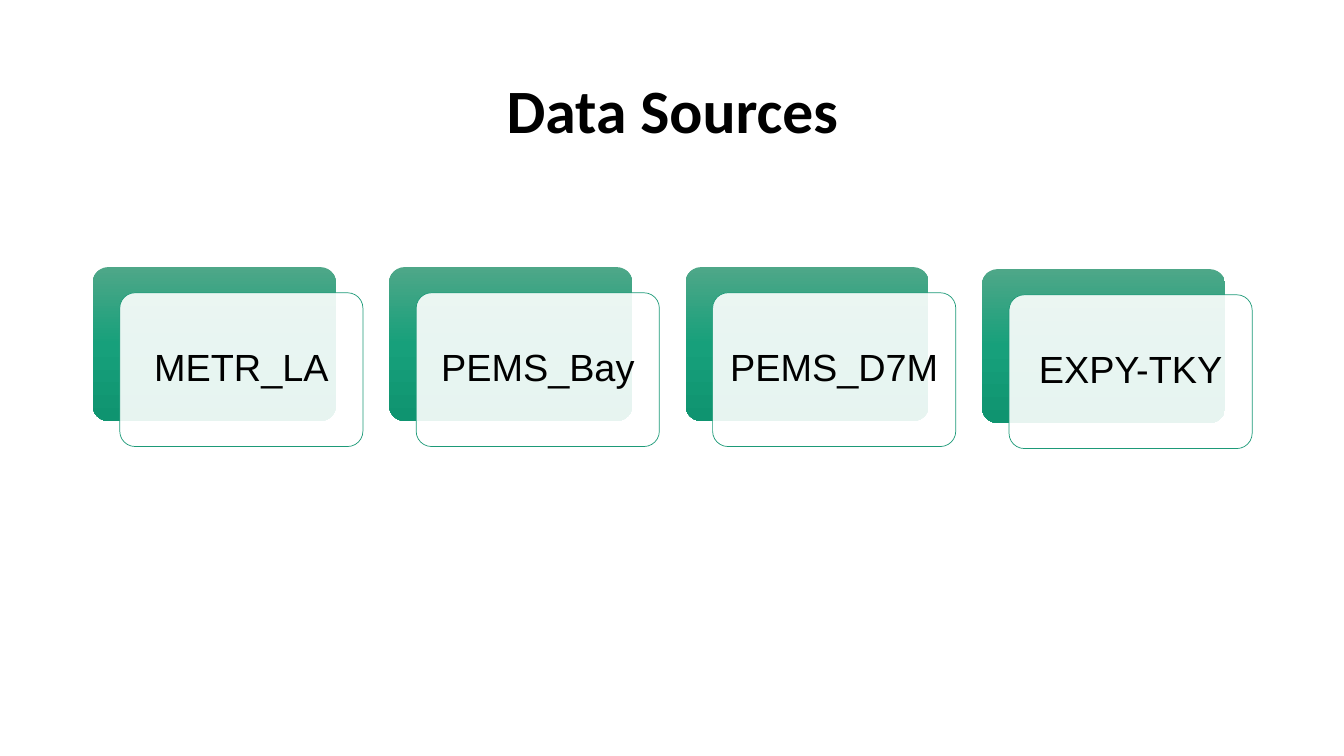
from copy import deepcopy

from lxml.etree import SubElement
from pptx import Presentation
from pptx.dml.color import RGBColor
from pptx.enum.shapes import MSO_SHAPE
from pptx.enum.text import MSO_ANCHOR, PP_ALIGN
from pptx.oxml.ns import qn
from pptx.util import Inches, Pt

HUES = {"top": "4EA788", "mid": "17A07B", "low": "0F9470",
        "edge": "1D9A78", "card": "FFFFFF", "ink": "000000"}
NAMES = ["METR_LA", "PEMS_Bay", "PEMS_D7M", "EXPY-TKY"]
DROPS = [0, 0, 0, 0.02]


def hue(name):
    """Return the named colour."""
    return RGBColor.from_string(HUES[name])


def write(frame, text, font, size, bold=False):
    """Put one centred line of text in the middle of a frame."""
    frame.word_wrap = True
    frame.vertical_anchor = MSO_ANCHOR.MIDDLE
    para = frame.paragraphs[0]
    para.alignment = PP_ALIGN.CENTER
    para.line_spacing = 0.9
    run = para.add_run()
    run.text = text
    run.font.name = font
    run.font.size = Pt(size)
    run.font.bold = bold
    run.font.color.rgb = hue("ink")


def plate(group, left, top, wide, high):
    """Add a rounded box without shadow."""
    shape = group.shapes.add_shape(
        MSO_SHAPE.ROUNDED_RECTANGLE,
        Inches(left), Inches(top), Inches(wide), Inches(high))
    shape.adjustments[0] = 0.1
    shape.shadow.inherit = False
    return shape


def shade(shape):
    """Fill a shape with the three-step green gradient, top to bottom."""
    shape.line.fill.background()
    shape.fill.gradient()
    shape.fill.gradient_angle = 270
    stops = shape._element.spPr.find(qn("a:gradFill")).find(qn("a:gsLst"))
    stops.insert(1, deepcopy(stops[0]))
    for stop, name, place in zip(shape.fill.gradient_stops,
                                 ("top", "mid", "low"), (0, 0.5, 1)):
        stop.color.rgb = hue(name)
        stop.position = place


def label(group, left, top, wide, high, name):
    """Write a name in a text box set just inside the given box."""
    edge, pad = 0.04, Inches(0.11)
    box = group.shapes.add_textbox(
        Inches(left + edge), Inches(top + edge),
        Inches(wide - 2 * edge), Inches(high - 2 * edge))
    frame = box.text_frame
    frame.margin_left = frame.margin_right = pad
    frame.margin_top = frame.margin_bottom = pad
    write(frame, name, "Arial", 27)


def source(group, left, top, wide, high, name):
    """Draw one data source: a green plate and a named card over it."""
    dx, dy = wide * 0.1, high / 7
    size = wide - dx, high - dy
    shade(plate(group, left, top, *size))
    card = plate(group, left + dx, top + dy, *size)
    card.fill.solid()
    card.fill.fore_color.rgb = hue("card")
    tint = card._element.spPr.find(qn("a:solidFill"))[0]
    SubElement(tint, qn("a:alpha")).set("val", "90000")
    card.line.color.rgb = hue("edge")
    card.line.width = Pt(0.5)
    label(group, left + dx, top + dy, *size, name)


def sources(slide, left, top, wide, high):
    """Spread the data sources in equal columns over a box."""
    group = slide.shapes.add_group_shape()
    gap = 0.26
    col = (wide - gap * (len(NAMES) - 1)) / len(NAMES)
    for i, (name, drop) in enumerate(zip(NAMES, DROPS)):
        source(group, left + i * (col + gap), top + drop, col, high, name)


def heading(slide, left, top, wide, high):
    """Place the slide title."""
    title = slide.shapes.title
    title.left, title.top = Inches(left), Inches(top)
    title.width, title.height = Inches(wide), Inches(high)
    write(title.text_frame, "Data Sources", "Calibri", 44, True)


def main():
    """Build and save the slide."""
    deck = Presentation()
    deck.slide_width, deck.slide_height = Inches(13.33), Inches(7.5)
    slide = deck.slides.add_slide(deck.slide_layouts[5])
    heading(slide, 0.92, 0.4, 11.5, 1.45)
    sources(slide, 0.92, 2.65, 11.5, 1.78)
    deck.save("out.pptx")


if __name__ == "__main__":
    main()
